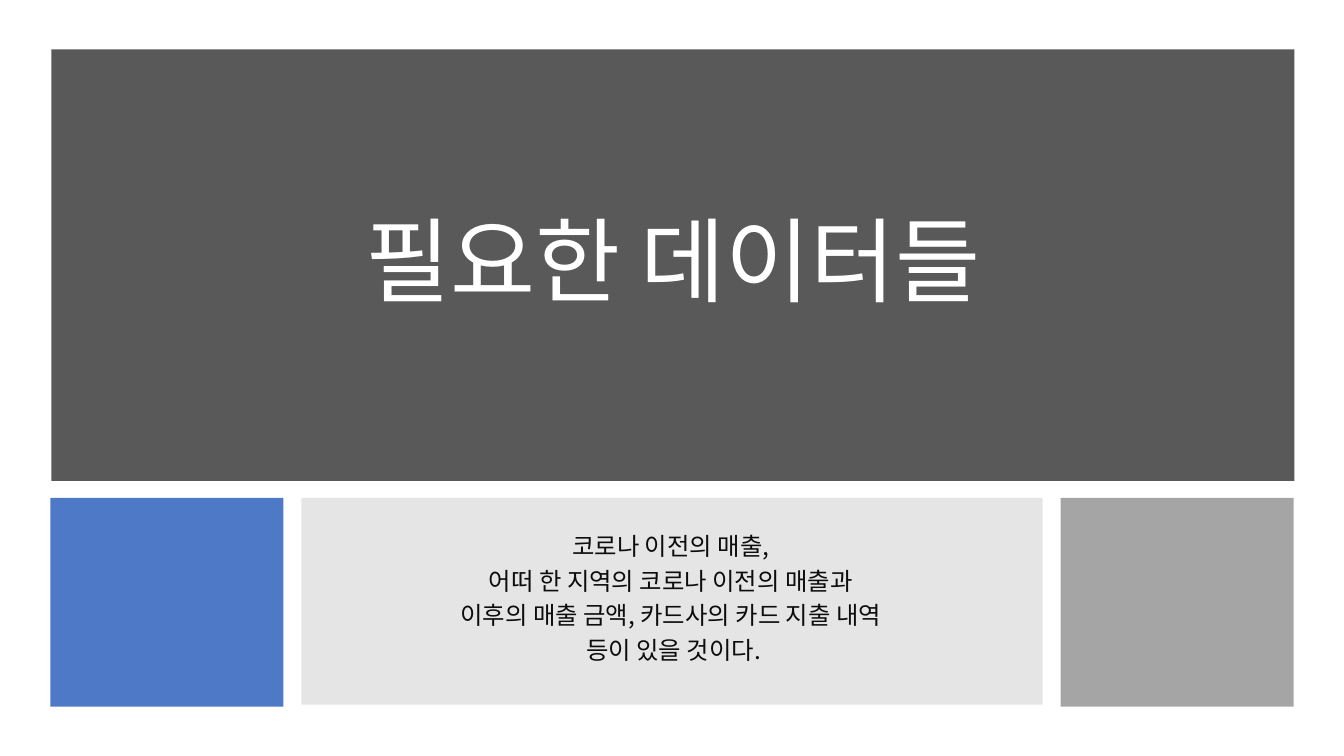
"""Build the slide that names the data needed."""
from lxml import etree
from pptx import Presentation
from pptx.dml.color import RGBColor
from pptx.enum.shapes import MSO_SHAPE
from pptx.enum.text import MSO_ANCHOR, PP_ALIGN
from pptx.oxml.ns import qn
from pptx.util import Emu, Pt

RECT = MSO_SHAPE.RECTANGLE
MIDDLE = MSO_ANCHOR.MIDDLE
CENTER = PP_ALIGN.CENTER
PX = 9144
FONT = "Noto Sans CJK KR"
TITLE_ONLY = 5
COLORS = {
    "banner": "595959",
    "blue": "4472C4",
    "panel": "7F7F7F",
    "gray": "A5A5A5",
    "white": "FFFFFF",
    "ink": "0D0D0D",
}
BLOCKS = [
    ((51, 49, 1233, 428), "banner", 100),
    ((50, 494, 231, 207), "blue", 95),
    ((299, 494, 735, 205), "panel", 20),
    ((1052, 494, 231, 207), "gray", 100),
]
TITLE = ["필요한 데이터들"]
DETAILS = [
    "코로나 이전의 매출, ",
    "어떠 한 지역의 코로나 이전의 매출과 ",
    "이후의 매출 금액, 카드사의 카드 지출 내역 ",
    "등이 있을 것이다.",
]


def px(*lengths):
    return [Emu(n * PX) for n in lengths]


def rgb(name):
    return RGBColor.from_string(COLORS[name])


def add_block(s, box, color, opacity):
    sp = s.shapes.add_shape(RECT, *px(*box))
    sp.shadow.inherit = False
    sp.line.fill.background()
    sp.fill.solid()
    sp.fill.fore_color.rgb = rgb(color)
    if opacity < 100:
        clr = sp.fill._xPr.find(qn("a:solidFill"))[0]
        etree.SubElement(clr, qn("a:alpha"), val=str(opacity * 1000))


def write_text(sp, lines, size, color, spacing, before):
    tf = sp.text_frame
    tf.word_wrap = True
    tf.vertical_anchor = MIDDLE
    tf.text = "\n".join(lines)
    for p in tf.paragraphs:
        p.alignment = CENTER
        p.line_spacing = spacing
        p.space_before = Pt(before)
        p.font.size = Pt(size)
        p.font.color.rgb = rgb(color)
        p.font.name = FONT
        props = p._p.pPr.find(qn("a:defRPr"))
        etree.SubElement(props, qn("a:ea"), typeface=FONT)


def main():
    prs = Presentation()
    prs.slide_width, prs.slide_height = px(1333, 750)
    s = prs.slides.add_slide(prs.slide_layouts[TITLE_ONLY])
    for block in BLOCKS:
        add_block(s, *block)

    title = s.shapes.title
    title.left, title.top, title.width, title.height = px(120, 120, 1095, 287)
    write_text(title, TITLE, 66, "white", 0.9, 0)
    s.shapes._spTree.append(title._element)

    details = s.shapes.add_textbox(*px(353, 529, 630, 135))
    write_text(details, DETAILS, 17.4, "ink", 0.7, 10)
    prs.save("out.pptx")


if __name__ == "__main__":
    main()
